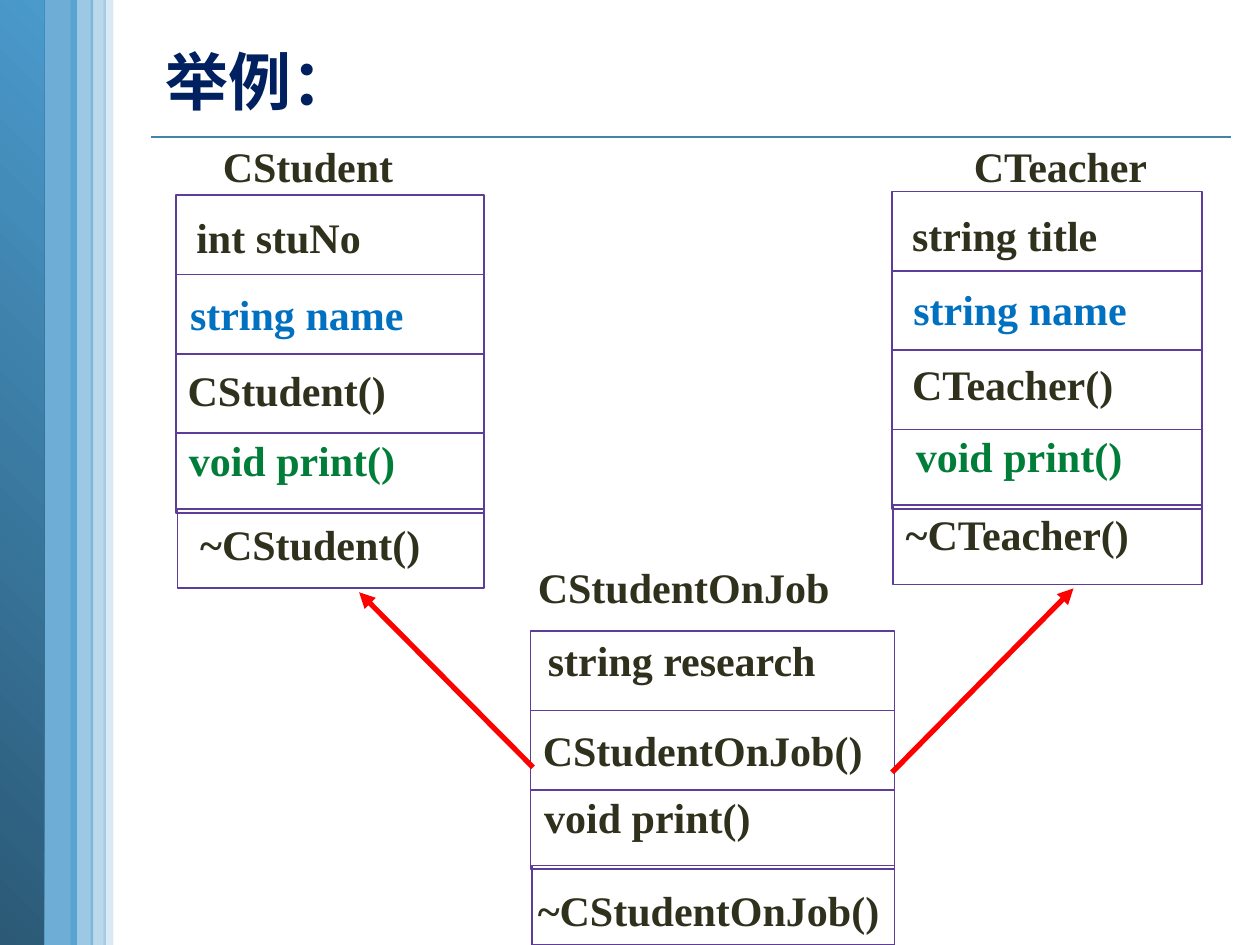
from dataclasses import dataclass

from lxml import etree
from pptx import Presentation
from pptx.dml.color import RGBColor
from pptx.enum.shapes import MSO_CONNECTOR as Connector, MSO_SHAPE as Shape
from pptx.enum.text import MSO_ANCHOR as Anchor, MSO_AUTO_SIZE as AutoSize, PP_ALIGN as Align
from pptx.oxml.ns import qn
from pptx.util import Inches, Pt


@dataclass(frozen=True)
class Theme:
    text: str = "30311D"
    shared: str = "0070C0"
    override: str = "007E39"
    title: str = "002060"
    border: str = "5D3D97"
    arrow: str = "FF0000"
    band: str = "4A9ACC"
    band_dark: str = "2B5976"
    rule: str = "4582A7"
    font: str = "Times New Roman"
    title_font: str = "Noto Sans CJK SC"
    label_size: int = 24
    title_size: int = 36


THEME = Theme()
ROW_HEIGHT = 0.63
LABEL_HEIGHT = 0.5

# Side bands: left, top, width, height, opacity in percent (None: gradient)
BANDS = [
    (0.3, 0, 0.31, 7.53, 80),
    (-0.01, 0, 0.36, 7.5, None),
    (0.82, -0.02, 0.08, 7.52, 20),
    (0.56, 0, 0.18, 7.51, 54),
    (0.72, 0, 0.12, 7.52, 37),
]

# Class boxes: left, top, width; then labels: text, left, top, width, colour
CLASSES = [
    ((1.4, 1.55, 2.44), ("CStudent", 1.67, 1.07, 1.57, THEME.text), [
        ("int stuNo", 1.46, 1.63, 1.61, THEME.text),
        ("string name", 1.41, 2.24, 2.55, THEME.shared),
        ("CStudent()", 1.39, 2.84, 2.85, THEME.text),
        ("void print()", 1.4, 3.4, 1.94, THEME.override),
        ("~CStudent()", 1.49, 4.07, 2.58, THEME.text),
    ]),
    ((7.08, 1.52, 2.46), ("CTeacher", 7.63, 1.07, 1.59, THEME.text), [
        ("string title", 7.14, 1.61, 1.77, THEME.text),
        ("string name", 7.15, 2.2, 2.85, THEME.shared),
        ("CTeacher()", 7.14, 2.8, 1.9, THEME.text),
        ("void print()", 7.17, 3.37, 2.4, THEME.override),
        ("~CTeacher()", 7.09, 3.99, 2.54, THEME.text),
    ]),
    ((4.21, 5.01, 2.89), ("CStudentOnJob", 4.17, 4.41, 2.54, THEME.text), [
        ("string research", 4.25, 4.99, 2.44, THEME.text),
        ("CStudentOnJob()", 4.21, 5.7, 2.74, THEME.text),
        ("void print()", 4.22, 6.23, 2.48, THEME.text),
        ("~CStudentOnJob()", 4.17, 6.97, 3.36, THEME.text),
    ]),
]

ARROWS = [((4.23, 6.09), (2.85, 4.7)), ((7.08, 6.13), (8.52, 4.67))]


def rgb(colour):
    return RGBColor.from_string(colour)


def add_rectangle(page, left, top, width, height):
    box = page.shapes.add_shape(
        Shape.RECTANGLE, Inches(left), Inches(top), Inches(width), Inches(height))
    box.shadow.inherit = False
    return box


def add_band(page, left, top, width, height, opacity):
    band = add_rectangle(page, left, top, width, height)
    band.line.fill.background()
    if opacity is None:
        band.fill.gradient()
        band.fill.gradient_angle = 45
        stops = zip(band.fill.gradient_stops, (THEME.band_dark, THEME.band), (0, 1))
        for stop, colour, position in stops:
            stop.color.rgb = rgb(colour)
            stop.position = position
        return
    band.fill.solid()
    band.fill.fore_color.rgb = rgb(THEME.band)
    colour_node = next(band.fill._xPr.iter(qn("a:srgbClr")))
    etree.SubElement(colour_node, qn("a:alpha"), val=str(opacity * 1000))


def add_line(page, start, end, colour, width, arrow=False):
    line = page.shapes.add_connector(
        Connector.STRAIGHT, *(Inches(value) for value in (*start, *end)))
    line.line.color.rgb = rgb(colour)
    line.line.width = Pt(width)
    if arrow:
        etree.SubElement(line.line._get_or_add_ln(), qn("a:tailEnd"), type="triangle")
    etree.SubElement(line._element.spPr, qn("a:effectLst"))


def add_span(para, text, font, size, colour):
    span = para.add_run()
    span.text = text
    span.font.name = font
    span.font.size = Pt(size)
    span.font.bold = True
    span.font.color.rgb = rgb(colour)
    return span


def add_label(page, text, left, top, width, colour):
    box = page.shapes.add_textbox(
        Inches(left), Inches(top), Inches(width), Inches(LABEL_HEIGHT))
    frame = box.text_frame
    frame.word_wrap = True
    frame.auto_size = AutoSize.SHAPE_TO_FIT_TEXT
    add_span(frame.paragraphs[0], text, THEME.font, THEME.label_size, colour)


def add_class(page, place, name, members):
    """Draw a class: its name above a stack of rows, the last one tucked in slightly."""
    left, top, width = place
    add_label(page, *name)
    for index, member in enumerate(members):
        last = index == len(members) - 1
        inset, lift = (0.01, 0.03) if last else (0, 0)
        row = add_rectangle(page, left + inset, top + index * ROW_HEIGHT - lift,
                            width - inset, ROW_HEIGHT)
        row.fill.background()
        row.line.color.rgb = rgb(THEME.border)
        row.line.width = Pt(1)
        add_label(page, *member)


def set_title(page, text):
    title = page.shapes.title
    title.left, title.top = Inches(0.75), Inches(0)
    title.width, title.height = Inches(9.66), Inches(0.9)
    frame = title.text_frame
    frame.word_wrap = True
    frame.auto_size = AutoSize.SHAPE_TO_FIT_TEXT
    frame.vertical_anchor = Anchor.MIDDLE
    frame.margin_left = frame.margin_right = frame.margin_bottom = 0
    frame.margin_top = Inches(0.3)
    para = frame.paragraphs[0]
    para.alignment = Align.LEFT
    para.line_spacing = Pt(48.9)
    properties = para._p.get_or_add_pPr()
    properties.set("marL", str(Inches(0.56)))
    properties.set("indent", "0")
    span = add_span(para, text, THEME.title_font, THEME.title_size, THEME.title)
    etree.SubElement(span.font._element, qn("a:ea"), typeface=THEME.title_font)


def main():
    deck = Presentation()
    deck.slide_width, deck.slide_height = Inches(10), Inches(7.5)
    page = deck.slides.add_slide(deck.slide_layouts[5])
    set_title(page, "举例：")
    add_line(page, (1.2, 1.09), (9.77, 1.09), THEME.rule, 1)
    for band in BANDS:
        add_band(page, *band)
    for place, name, members in CLASSES:
        add_class(page, place, name, members)
    for start, end in ARROWS:
        add_line(page, start, end, THEME.arrow, 3, arrow=True)
    deck.save("out.pptx")


if __name__ == "__main__":
    main()
